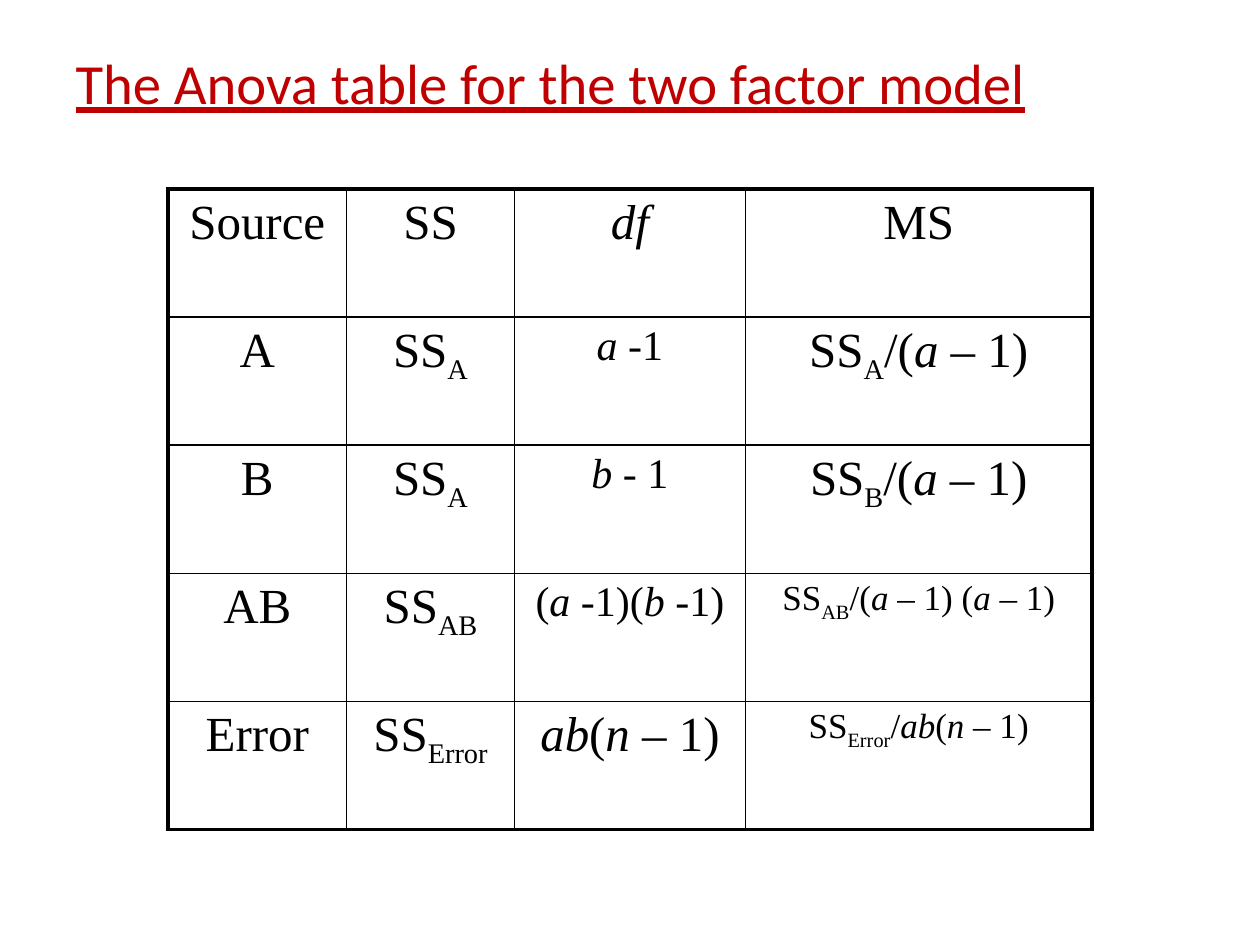
"""Builds a slide with the Anova table for the two factor model."""
import lxml.etree
import pptx
import pptx.dml.color
import pptx.enum.text
import pptx.oxml.ns
import pptx.util

TITLE = "The Anova table for the two factor model"
ITALIC, SUB = "*", "_"
ROWS = [
    [("Source", 28), ("SS", 28), ("*df*", 28), ("MS", 28)],
    [("A", 28), ("SS_A_", 28), ("*a *-1", 24), ("SS_A_/(*a* – 1)", 28)],
    [("B", 28), ("SS_A_", 28), ("*b* - 1", 24), ("SS_B_/(*a* – 1)", 28)],
    [("AB", 28), ("SS_AB_", 28), ("(*a *-1)(*b *-1)", 24),
     ("SS_AB_/(*a* – 1) (*a* – 1)", 20)],
    [("Error", 28), ("SS_Error_", 28), ("*ab*(*n* – 1)", 28),
     ("SS_Error_/*ab*(*n* – 1)", 20)],
]
COLS = [17, 16, 22, 33]
LEFT, TOP, HIGH = 16, 18, 61
UNIT = pptx.util.Inches(1 / 12)
THIN, THICK = pptx.util.Pt(1), pptx.util.Pt(2.25)
RED = pptx.dml.color.RGBColor(0xC0, 0x00, 0x00)
BLACK = pptx.dml.color.RGBColor(0x00, 0x00, 0x00)


def add_node(parent, tag, **attrs):
    """Append a DrawingML element to its parent."""
    node = lxml.etree.SubElement(parent, pptx.oxml.ns.qn("a:" + tag))
    for key, value in attrs.items():
        node.set(key, str(value))
    return node


def split_marks(text):
    """Return (piece, italic, subscript) for each marked part."""
    parts, piece, italic, sub = [], "", False, False
    for sign in text + ITALIC:
        if sign not in (ITALIC, SUB):
            piece += sign
            continue
        if piece:
            parts.append((piece, italic, sub))
        piece = ""
        italic ^= sign == ITALIC
        sub ^= sign == SUB
    return parts


def write_cell(cell, text, size):
    """Write marked text centred in a cell."""
    para = cell.text_frame.paragraphs[0]
    para.alignment = pptx.enum.text.PP_ALIGN.CENTER
    space = add_node(para._p.get_or_add_pPr(), "spcBef")
    add_node(space, "spcPct", val=20000)
    for piece, italic, sub in split_marks(text):
        run = para.add_run()
        run.text = piece
        font = run.font
        font.name, font.size = "Times New Roman", pptx.util.Pt(size)
        font.italic = italic
        font.color.rgb = BLACK
        if sub:
            font._element.set("baseline", "-25000")


def draw_edges(cell, row, col):
    """Rule a cell, thick along the rim of the table."""
    rims = {"lnL": col == 0, "lnR": col == len(COLS) - 1,
            "lnT": row == 0, "lnB": row == len(ROWS) - 1}
    props = cell._tc.get_or_add_tcPr()
    for tag, rim in rims.items():
        line = add_node(props, tag, w=THICK if rim else THIN)
        add_node(add_node(line, "solidFill"), "srgbClr", val=BLACK)
    cell.fill.background()


def add_title(slide):
    """Place and format the title."""
    title = slide.shapes.title
    title.left, title.top, title.width, title.height = map(
        pptx.util.Inches, (0.5, 0.3, 9, 0.7))
    frame = title.text_frame
    frame.text = TITLE
    frame.auto_size = pptx.enum.text.MSO_AUTO_SIZE.NONE
    frame.vertical_anchor = pptx.enum.text.MSO_ANCHOR.MIDDLE
    para = frame.paragraphs[0]
    para.alignment = pptx.enum.text.PP_ALIGN.LEFT
    font = para.runs[0].font
    font.name, font.size = "Calibri", pptx.util.Pt(32.4)
    font.underline = True
    font.color.rgb = RED


def add_grid(slide):
    """Add the Anova table."""
    table = slide.shapes.add_table(
        len(ROWS), len(COLS), LEFT * UNIT, TOP * UNIT,
        sum(COLS) * UNIT, HIGH * UNIT).table
    table.first_row = table.horz_banding = False
    for col, wide in enumerate(COLS):
        table.columns[col].width = wide * UNIT
    for row, cells in enumerate(ROWS):
        for col, (text, size) in enumerate(cells):
            cell = table.cell(row, col)
            write_cell(cell, text, size)
            draw_edges(cell, row, col)


def main():
    """Build and save the slide."""
    deck = pptx.Presentation()
    deck.slide_width = pptx.util.Inches(10)
    deck.slide_height = pptx.util.Inches(7.5)
    slide = deck.slides.add_slide(deck.slide_layouts.get_by_name("Title Only"))
    add_title(slide)
    add_grid(slide)
    deck.save("out.pptx")


if __name__ == "__main__":
    main()
